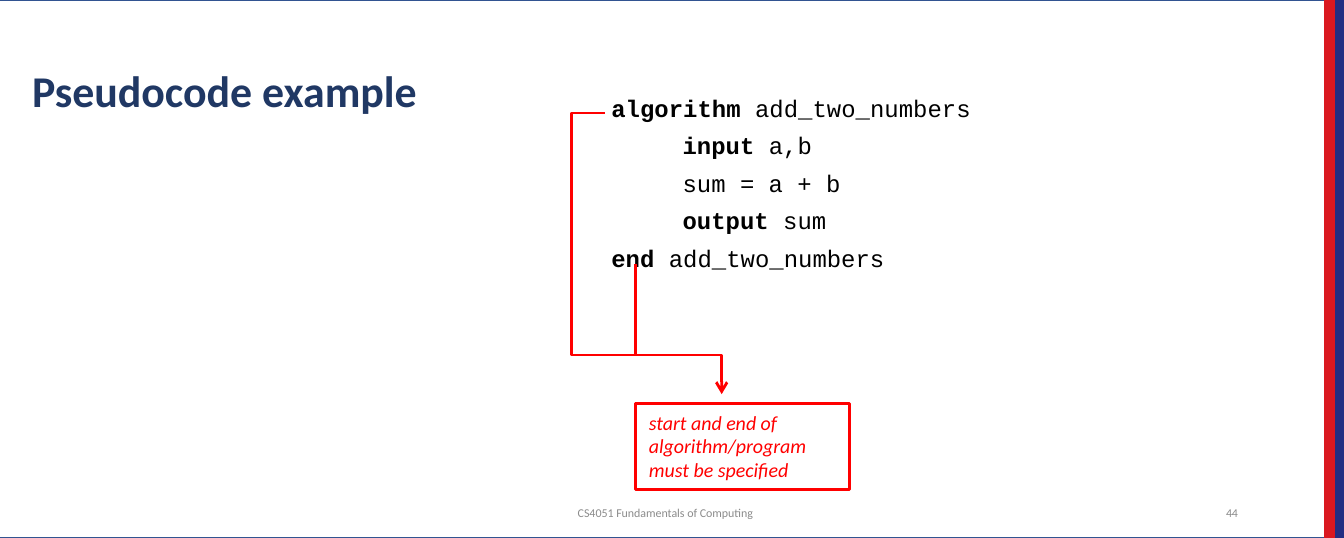
import pptx
import pptx.dml.color
import pptx.enum.dml
import pptx.enum.shapes
import pptx.enum.text
import pptx.oxml
import pptx.oxml.ns
import pptx.util

COLUMNS, ROWS = 100, 40
CELL = pptx.util.Inches(0.1)
COLORS = {
    "frame": "325491", "navy": "232D82", "crimson": "DA1820", "title": "203864",
    "code": "000000", "footer": "8C8C8C", "callout": "FF0000",
}
TITLE = {"name": "Calibri", "size": 23.5, "bold": True, "color": "title"}
CODE = {"name": "Courier New", "size": 12.8, "color": "code"}
FOOTER = {"name": "Calibri", "size": 6.4, "color": "footer"}
CALLOUT = {"name": "Calibri", "size": 10.7, "italic": True, "color": "callout"}
ALIGN = pptx.enum.text.PP_ALIGN
ANCHOR = pptx.enum.text.MSO_ANCHOR

# Indent in columns, keyword, remainder of the line
PSEUDOCODE = [
    (0.7, "algorithm", " add_two_numbers"),
    (6, "input", " a,b"),
    (6, "", "sum = a + b"),
    (6, "output", " sum"),
    (0.7, "end", " add_two_numbers"),
]


def grid(*cells):
    return [round(cell * CELL) for cell in cells]


def rgb(name):
    return pptx.dml.color.RGBColor.from_string(COLORS[name])


def add_run(paragraph, text, style):
    run = paragraph.add_run()
    run.text = text
    for key, value in style.items():
        if key == "color":
            run.font.color.rgb = rgb(value)
        else:
            setattr(run.font, key, pptx.util.Pt(value) if key == "size" else value)


def add_rectangle(slide, box, line, width, fill=None):
    rectangle = slide.shapes.add_shape(
        pptx.enum.shapes.MSO_SHAPE.RECTANGLE, *grid(*box))
    rectangle.shadow.inherit = False
    if fill:
        rectangle.fill.solid()
        rectangle.fill.fore_color.rgb = rgb(fill)
    else:
        rectangle.fill.background()
    rectangle.line.color.rgb = rgb(line)
    rectangle.line.width = pptx.util.Pt(width)
    return rectangle


def add_label(slide, box, text, style, align, anchor):
    frame = slide.shapes.add_textbox(*grid(*box)).text_frame
    frame.word_wrap = True
    frame.vertical_anchor = anchor
    paragraph = frame.paragraphs[0]
    paragraph.alignment = align
    add_run(paragraph, text, style)
    return paragraph


def add_callout_line(slide, kind, start, end):
    connector = slide.shapes.add_connector(kind, *grid(*start, *end))
    connector.line.color.rgb = rgb("callout")
    connector.line.width = pptx.util.Pt(1.5)
    properties = connector.element.spPr
    properties.append(pptx.oxml.parse_xml(
        f'<a:effectLst {pptx.oxml.ns.nsdecls("a")}/>'))
    return properties


def draw_frame(slide, box):
    """Outline the page and set two colour stripes along its right edge."""
    left, top, width, height = box
    stripe = 0.7
    right = left + width
    add_rectangle(slide, (left - stripe, top, width - stripe, height), "frame", 1)
    for position, color in enumerate(("navy", "crimson"), start=1):
        add_rectangle(slide, (right - position * stripe, top, stripe, height),
                      color, 1, color)


def draw_footer(slide, box):
    left, top, width, height = box
    number_width = 5.6
    add_label(slide, (left, top, 47, height), "CS4051 Fundamentals of Computing",
              FOOTER, ALIGN.CENTER, ANCHOR.MIDDLE)
    add_label(slide, (left + width - number_width, top, number_width, height), "44",
              FOOTER, ALIGN.RIGHT, ANCHOR.MIDDLE)


def draw_pseudocode(slide, box):
    frame = slide.shapes.add_textbox(*grid(*box)).text_frame
    frame.word_wrap = True
    for row, (indent, keyword, remainder) in enumerate(PSEUDOCODE):
        line = frame.add_paragraph() if row else frame.paragraphs[0]
        line.alignment = ALIGN.JUSTIFY
        line.line_spacing = 0.9
        if row:
            line.space_before = pptx.util.Pt(6.2)
        line._p.get_or_add_pPr().set("marL", str(grid(indent)[0]))
        if keyword:
            add_run(line, keyword, {**CODE, "bold": True})
        add_run(line, remainder, CODE)


def draw_callout(slide, box):
    """Note below the code, with lines from its first and last rows."""
    left, top, width, height = box
    note = add_rectangle(slide, box, "callout", 1.5)
    note.text_frame.word_wrap = True
    note.text_frame.vertical_anchor = ANCHOR.TOP
    paragraph = note.text_frame.paragraphs[0]
    paragraph.alignment = ALIGN.LEFT
    add_run(paragraph, "start and end of algorithm/program must be specified", CALLOUT)

    kinds = pptx.enum.shapes.MSO_CONNECTOR
    start = (left - 2.3, top - 21.6)
    tip = (left + 6.4, top - 0.7)
    bracket = add_callout_line(slide, kinds.ELBOW, start, tip)
    geometry = bracket.find(pptx.oxml.ns.qn("a:prstGeom"))
    geometry.set("prst", "bentConnector4")
    guides = geometry.get_or_add_avLst()
    for name, share in (("adj1", -0.286), ("adj2", 0.861)):
        guides.append(pptx.oxml.parse_xml(
            f'<a:gd {pptx.oxml.ns.nsdecls("a")} name="{name}" '
            f'fmla="val {round(share * 100000)}"/>'))
    bracket.find(pptx.oxml.ns.qn("a:ln")).append(pptx.oxml.parse_xml(
        f'<a:tailEnd {pptx.oxml.ns.nsdecls("a")} type="arrow"/>'))
    add_callout_line(slide, kinds.STRAIGHT, (left, top - 10.4), (left, top - 3.5))


def main():
    presentation = pptx.Presentation()
    presentation.slide_width, presentation.slide_height = grid(COLUMNS, ROWS)
    slide = presentation.slides.add_slide(presentation.slide_layouts[6])
    draw_frame(slide, (0, 0, COLUMNS, ROWS))
    draw_pseudocode(slide, (43.8, 6.7, 29.8, 28.7))
    title = add_label(slide, (1.4, 1.5, 91.7, 7.7), "Pseudocode example",
                      TITLE, ALIGN.LEFT, ANCHOR.BOTTOM)
    title.line_spacing = 0.9
    draw_footer(slide, (26, 37.1, 67.1, 2.1))
    draw_callout(slide, (47.3, 30, 15.9, 6.4))
    presentation.save("out.pptx")


if __name__ == "__main__":
    main()
